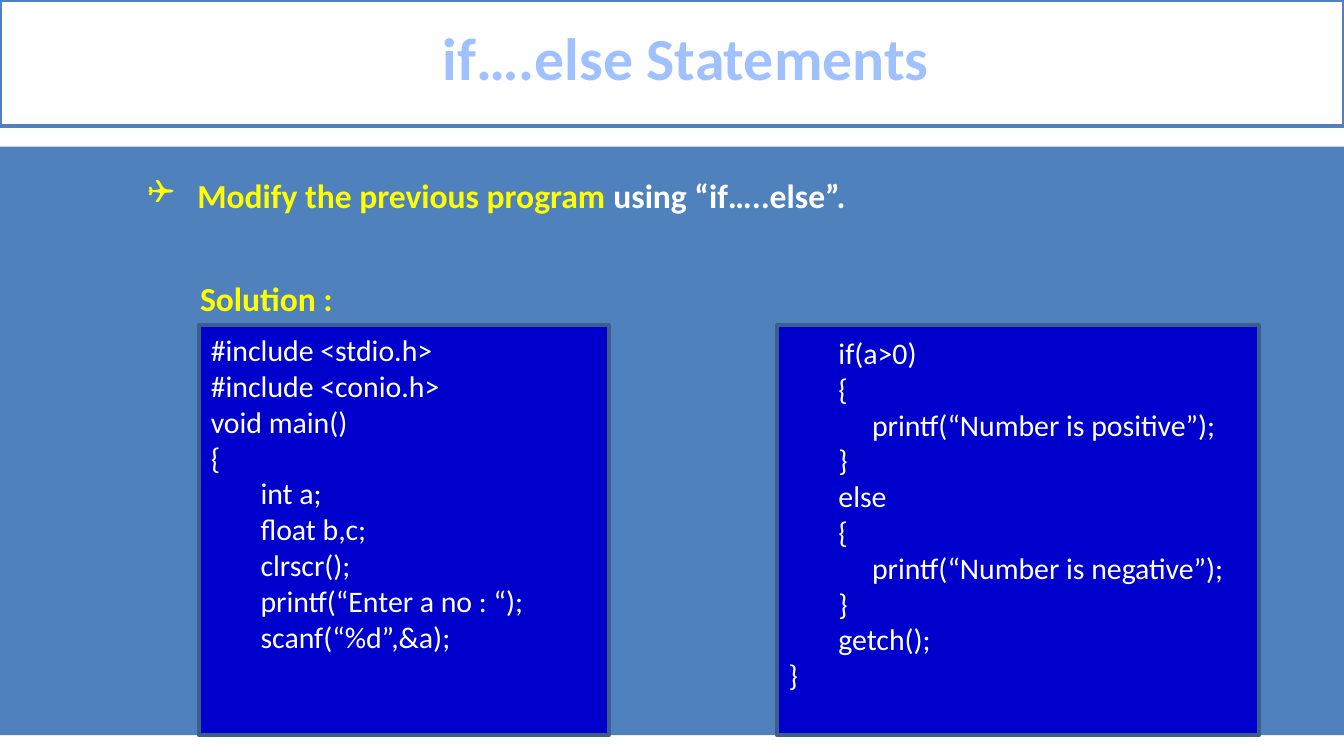
from dataclasses import dataclass

from lxml.etree import SubElement
from pptx import Presentation
from pptx.dml.color import RGBColor
from pptx.enum.shapes import MSO_SHAPE as Shape
from pptx.enum.text import MSO_ANCHOR as Anchor, PP_ALIGN as Align
from pptx.oxml.ns import qn
from pptx.util import Inches, Pt


@dataclass(frozen=True)
class Theme:
    """Colours, fonts and type sizes of the slide."""
    font: str = "Calibri"
    bullet_font: str = "Wingdings"
    white: str = "FFFFFF"
    band: str = "4F81BD"
    panel: str = "0000CC"
    panel_line: str = "3A5F8C"
    title: str = "A0C1FF"
    accent: str = "FFFF00"
    title_size: int = 32
    body_size: int = 18
    code_size: int = 16


THEME = Theme()
BASE_INDENT = 1.0
STEPS = (0, 0.37, 0.62)

LEFT_CODE = [
    (0, "#include <stdio.h>"),
    (0, "#include <conio.h>"),
    (0, "void main()"),
    (0, "{"),
    (1, "int a;"),
    (1, "float b,c;"),
    (1, "clrscr();"),
    (1, "printf(“Enter a no : “);"),
    (1, "scanf(“%d”,&a);"),
]
RIGHT_CODE = [
    (1, "if(a>0)"),
    (1, "{"),
    (2, "printf(“Number is positive”);"),
    (1, "}"),
    (1, "else"),
    (1, "{"),
    (2, "printf(“Number is negative”);"),
    (1, "}"),
    (1, "getch();"),
    (0, "}"),
]


def add_rectangle(slide, box, fill, line=None):
    """Add a flat rectangle, with a 2 pt outline if a line colour is given."""
    shape = slide.shapes.add_shape(Shape.RECTANGLE, *map(Inches, box))
    shape.shadow.inherit = False
    shape.fill.solid()
    shape.fill.fore_color.rgb = RGBColor.from_string(fill)
    if line:
        shape.line.color.rgb = RGBColor.from_string(line)
        shape.line.width = Pt(2)
    else:
        shape.line.fill.background()
    return shape


def add_text_frame(slide, box):
    """Add a wrapping text box and return its text frame."""
    frame = slide.shapes.add_textbox(*map(Inches, box)).text_frame
    frame.word_wrap = True
    return frame


def write(paragraph, *runs, size, bold=False, align=Align.LEFT, indent=0,
          hanging=0, bullet=None, line_spacing=1.0):
    """Write (text, colour) runs into a paragraph with the given format."""
    paragraph.alignment = align
    paragraph.line_spacing = line_spacing
    properties = paragraph._p.get_or_add_pPr()
    properties.set("marL", str(Inches(indent)))
    properties.set("indent", str(-Inches(hanging)))
    if bullet:
        SubElement(properties, qn("a:buFont"), typeface=THEME.bullet_font)
        SubElement(properties, qn("a:buChar"), char=bullet)
    for text, color in runs:
        run = paragraph.add_run()
        run.text = text
        run.font.name = THEME.font
        run.font.size = Pt(size)
        run.font.bold = bold
        run.font.color.rgb = RGBColor.from_string(color)


def add_title(slide, box):
    """Draw the outlined title bar."""
    frame = add_rectangle(slide, box, THEME.white, THEME.band).text_frame
    frame.word_wrap = True
    frame.vertical_anchor = Anchor.MIDDLE
    frame.margin_bottom = Inches(0.1)
    write(frame.paragraphs[0], ("if….else Statements", THEME.title),
          size=THEME.title_size, bold=True, align=Align.CENTER, indent=0.21,
          line_spacing=0.96)


def add_task(slide, box):
    """Draw the blue band with the task and the solution heading."""
    left, top, width, height = box
    add_rectangle(slide, box, THEME.band)
    task = add_text_frame(slide, (left, top + 0.16, width, 0.4))
    write(task.paragraphs[0],
          ("Modify the previous program ", THEME.accent),
          ("using “if…..else”.", THEME.white),
          size=THEME.body_size, bold=True,
          indent=BASE_INDENT + STEPS[1], hanging=STEPS[1], bullet="❑")
    heading = add_text_frame(slide, (left + 0.39, top + 0.93, 2.73, 0.4))
    write(heading.paragraphs[0], ("Solution :", THEME.accent),
          size=THEME.body_size, bold=True, indent=BASE_INDENT)


def add_code_panel(slide, box, lines, text_top=0):
    """Draw a code panel with its lines indented by depth."""
    left, top, width, height = box
    add_rectangle(slide, box, THEME.panel, THEME.panel_line)
    text_box = (left - BASE_INDENT - 0.01, top + text_top,
                width + BASE_INDENT, 2.79)
    frame = add_text_frame(slide, text_box)
    for number, (depth, text) in enumerate(lines):
        paragraph = frame.add_paragraph() if number else frame.paragraphs[0]
        write(paragraph, (text, THEME.white), size=THEME.code_size,
              indent=BASE_INDENT + STEPS[depth])


def main():
    """Build and save the slide."""
    presentation = Presentation()
    presentation.slide_width = Inches(10)
    presentation.slide_height = Inches(10) * 9 // 16
    slide = presentation.slides.add_slide(presentation.slide_layouts[6])
    add_task(slide, (0, 1.09, 10, 4.38))
    add_title(slide, (0, 0, 10, 0.94))
    add_code_panel(slide, (1.48, 2.42, 3.05, 3.05), LEFT_CODE)
    add_code_panel(slide, (5.78, 2.42, 3.59, 3.05), RIGHT_CODE, text_top=0.02)
    presentation.save("out.pptx")


if __name__ == "__main__":
    main()
